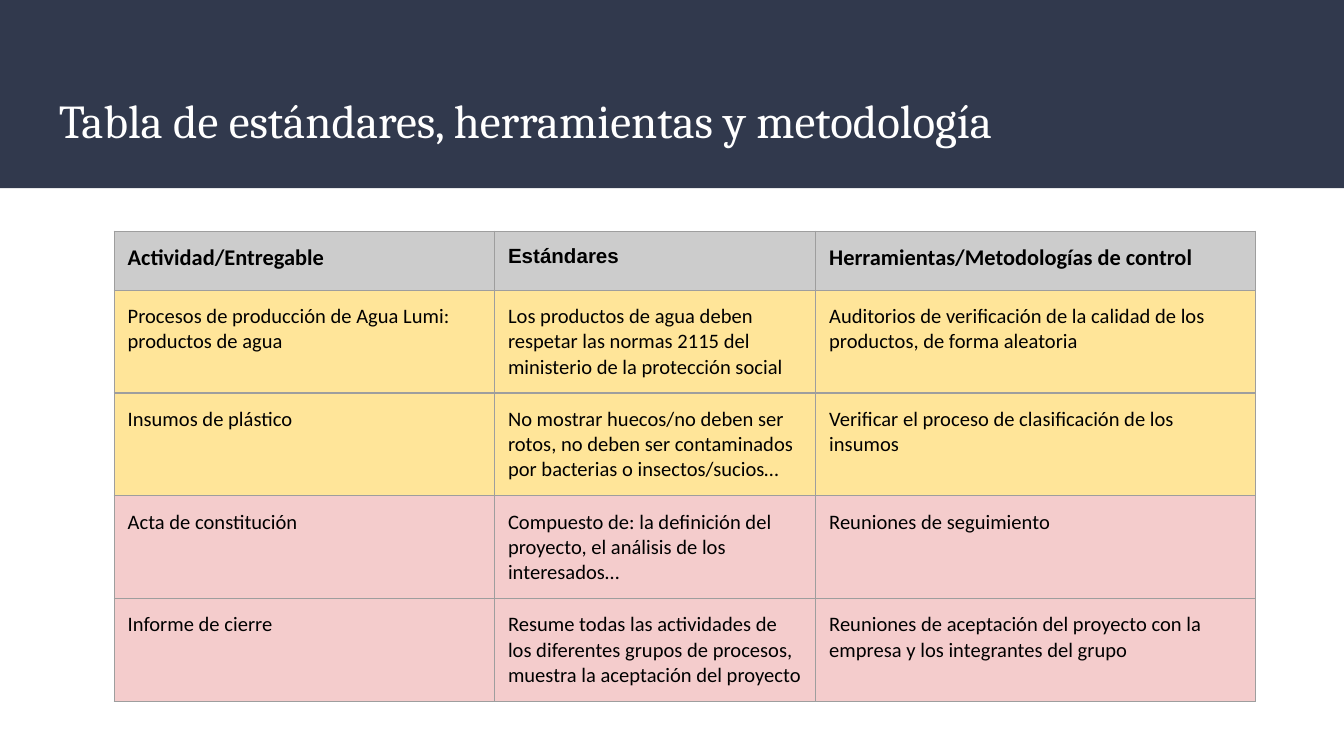
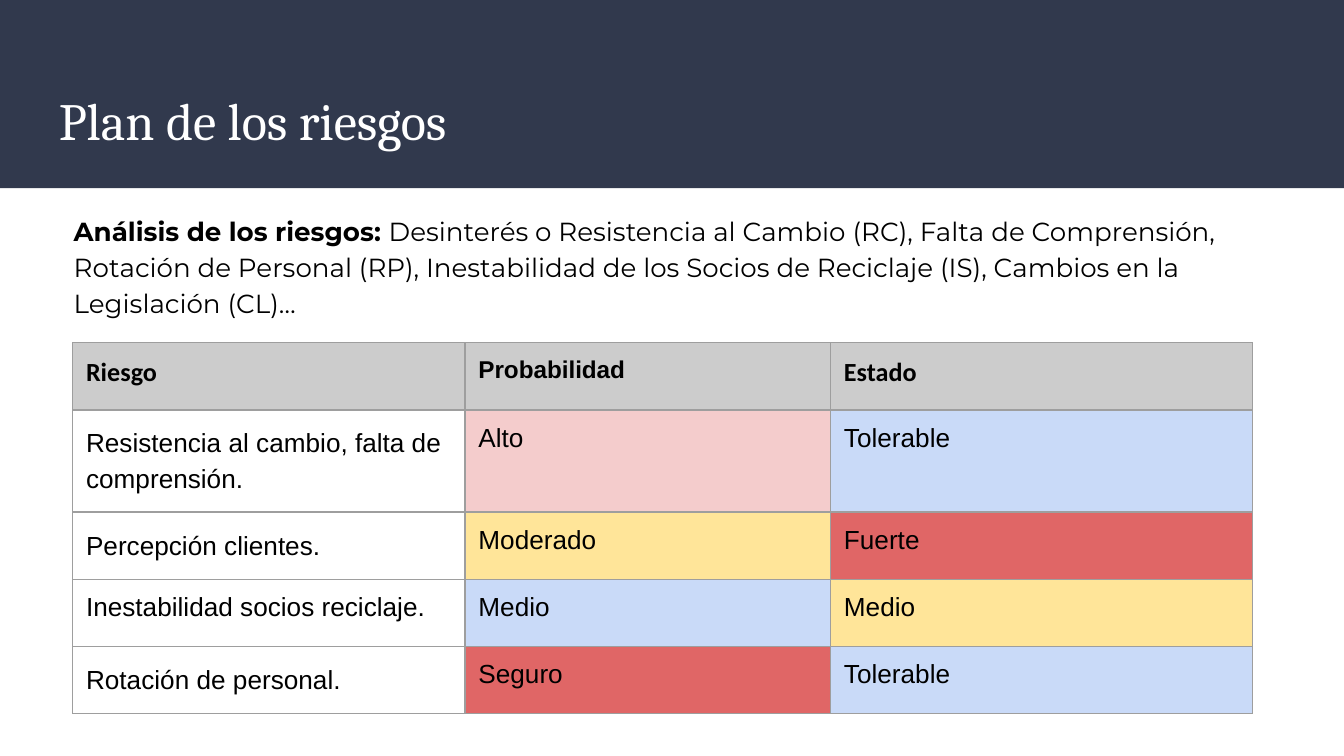
from lxml import etree
from pptx import Presentation
from pptx import util as u
from pptx.dml.color import RGBColor
from pptx.enum import shapes, text
from pptx.oxml.ns import qn

NAVY, WHITE, BLACK = "31394D", "FFFFFF", "000000"
GREY, LINE = "CCCCCC", "9E9E9E"
YELLOW, PINK, BLUE, RED = "FFE599", "F4CCCC", "C9DAF8", "E06666"


def color(value):
    return RGBColor.from_string(value)


def write(frame, content, size=14, font="Arial", fill=BLACK, bold=False,
          spacing=None, lead=""):
    """Fill a text frame with one paragraph, optionally opened by a bold lead."""
    frame.word_wrap = True
    paragraph = frame.paragraphs[0]
    if spacing:
        paragraph.line_spacing = spacing
    for part, is_bold in ((lead, True), (content, bold)):
        if part:
            run = paragraph.add_run()
            run.text = part
            run.font.name = font
            run.font.size = u.Pt(size)
            run.font.bold = is_bold
            run.font.color.rgb = color(fill)


class Deck:
    margin = u.Inches(0.1)
    width = u.Inches(10)

    def __init__(self):
        self.presentation = Presentation()
        self.presentation.slide_width = self.width
        self.presentation.slide_height = self.width * 9 // 16
        self.slide = None

    def new_slide(self, title, size):
        layout = self.presentation.slide_layouts[6]
        self.slide = self.presentation.slides.add_slide(layout)
        self.band()
        self.text_box(0.34, 0.55, 9.32, 0.68, title, size=size, font="Cambria",
                      fill=WHITE, anchor=text.MSO_ANCHOR.MIDDLE)

    def band(self):
        band = self.slide.shapes.add_shape(
            shapes.MSO_SHAPE.RECTANGLE, 0, 0, self.width, u.Inches(1.4))
        band.shadow.inherit = False
        band.fill.solid()
        band.fill.fore_color.rgb = color(NAVY)
        band.line.fill.background()

    def set_margins(self, item):
        item.margin_left = item.margin_right = self.margin
        item.margin_top = item.margin_bottom = self.margin

    def text_box(self, left, top, width, height, content,
                 anchor=text.MSO_ANCHOR.TOP, **style):
        box = self.slide.shapes.add_textbox(
            *map(u.Inches, (left, top, width, height)))
        frame = box.text_frame
        self.set_margins(frame)
        frame.vertical_anchor = anchor
        write(frame, content, **style)

    def table(self, left, top, widths, heights, rows):
        """Draw a table from rows of (content, fill, style) cells."""
        frame = self.slide.shapes.add_table(
            len(rows), len(widths),
            *map(u.Inches, (left, top, sum(widths), sum(heights))))
        table = frame.table
        for column, width in zip(table.columns, widths):
            column.width = u.Inches(width)
        for row, height, cells in zip(table.rows, heights, rows):
            row.height = u.Inches(height)
            for cell, (content, fill, style) in zip(row.cells, cells):
                self.set_margins(cell)
                self.borders(cell)
                cell.fill.solid()
                cell.fill.fore_color.rgb = color(fill)
                write(cell.text_frame, content, **style)

    def borders(self, cell):
        properties = cell._tc.get_or_add_tcPr()
        for side in ("lnL", "lnR", "lnT", "lnB"):
            line = etree.SubElement(properties, qn(f"a:{side}"), w=str(u.Pt(0.75)))
            solid = etree.SubElement(line, qn("a:solidFill"))
            etree.SubElement(solid, qn("a:srgbClr"), val=LINE)


def header(labels, size):
    """Grey heading row whose middle label is Arial, one point smaller."""
    outer = dict(size=size, font="Calibri", bold=True)
    middle = dict(size=size - 1, font="Arial", bold=True)
    return [(label, GREY, style)
            for label, style in zip(labels, (outer, middle, outer))]


def standards_slide(deck):
    deck.new_slide("Tabla de estándares, herramientas y metodología", 25.2)
    body = dict(size=11, font="Calibri")
    activities = [
        (YELLOW, "Procesos de producción de Agua Lumi: productos de agua",
         "Los productos de agua deben respetar las normas 2115 del ministerio "
         "de la protección social",
         "Auditorios de verificación de la calidad de los productos, "
         "de forma aleatoria"),
        (YELLOW, "Insumos de plástico",
         "No mostrar huecos/no deben ser rotos, no deben ser contaminados "
         "por bacterias o insectos/sucios…",
         "Verificar el proceso de clasificación de los insumos"),
        (PINK, "Acta de constitución",
         "Compuesto de: la definición del proyecto, el análisis de los "
         "interesados…",
         "Reuniones de seguimiento"),
        (PINK, "Informe de cierre",
         "Resume todas las actividades de los diferentes grupos de procesos, "
         "muestra la aceptación del proyecto",
         "Reuniones de aceptación del proyecto con la empresa y los "
         "integrantes del grupo"),
    ]
    rows = [header(("Actividad/Entregable", "Estándares",
                    "Herramientas/Metodologías de control"), 12)]
    rows += [[(content, fill, body) for content in contents]
             for fill, *contents in activities]
    body_height = 3.06 / len(activities)
    deck.table(0.85, 1.72, (2.83, 2.39, 3.27),
               [0.44] + [body_height] * len(activities), rows)


def risks_slide(deck):
    deck.new_slide("Plan de los riesgos", 28)
    deck.text_box(
        0.45, 1.47, 9.11, 1.01,
        "Desinterés o Resistencia al Cambio (RC), Falta de Comprensión, "
        "Rotación de Personal (RP), Inestabilidad de los Socios de Reciclaje "
        "(IS), Cambios en la Legislación (CL)…",
        lead="Análisis de los riesgos: ", font="Montserrat", spacing=1.15)

    # Each level carries its own colour
    probability_fills = {"Alto": PINK, "Moderado": YELLOW, "Medio": BLUE,
                         "Seguro": RED}
    state_fills = {"Tolerable": BLUE, "Fuerte": RED, "Medio": YELLOW}
    risks = [
        ("Resistencia al cambio, falta de comprensión.", 1.2, "Alto", "Tolerable"),
        ("Percepción clientes.", 1.2, "Moderado", "Fuerte"),
        ("Inestabilidad socios reciclaje.", None, "Medio", "Medio"),
        ("Rotación de personal.", 1.2, "Seguro", "Tolerable"),
    ]
    rows = [header(("Riesgo", "Probabilidad", "Estado"), 14)]
    rows += [[(risk, WHITE, dict(spacing=spacing)),
              (probability, probability_fills[probability], {}),
              (state, state_fills[state], {})]
             for risk, spacing, probability, state in risks]
    deck.table(0.54, 2.55, (2.92, 2.72, 3.14), (0.5, 0.72, 0.5, 0.5, 0.5), rows)


def main():
    deck = Deck()
    standards_slide(deck)
    risks_slide(deck)
    deck.presentation.save("out.pptx")


if __name__ == "__main__":
    main()
